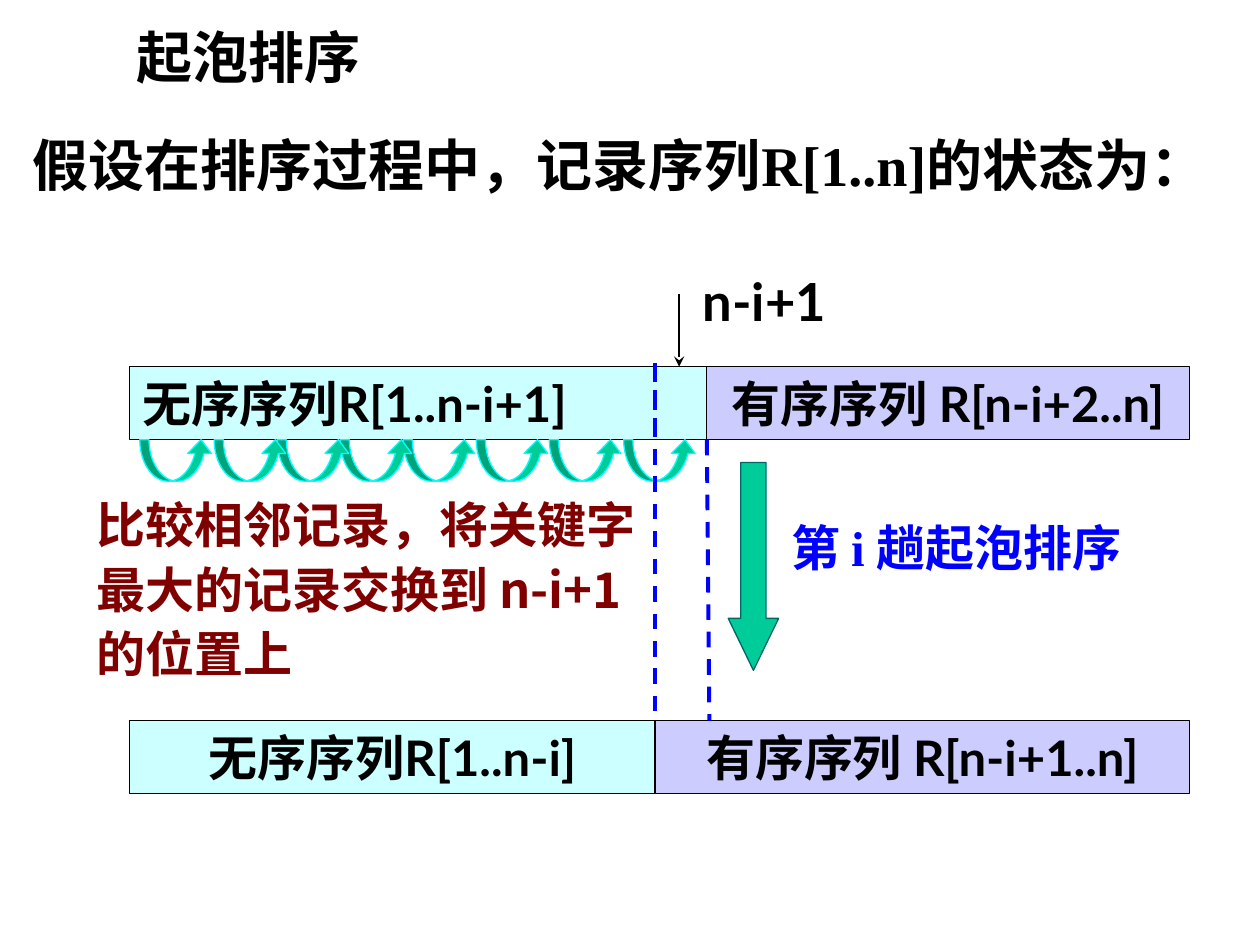
"""Builds a slide showing one pass of bubble sort."""
from dataclasses import dataclass

from lxml.etree import SubElement
from pptx import Presentation
from pptx.dml.color import RGBColor
from pptx.enum.dml import MSO_LINE
from pptx.enum.shapes import MSO_CONNECTOR, MSO_SHAPE
from pptx.enum.text import MSO_ANCHOR, MSO_AUTO_SIZE, PP_ALIGN
from pptx.oxml.ns import qn
from pptx.shapes.autoshape import Shape
from pptx.slide import Slide
from pptx.util import Inches, Pt

COLORS = {
    "black": "000000",
    "unsorted": "CCFFFF",
    "sorted": "CCCCFF",
    "blue": "0000FF",
    "maroon": "800000",
    "green": "00CC99",
    "teal": "006666",
    "cyan": "00FFFF",
}
SERIF, SANS, CHINESE = "Times New Roman", "Lato", "Noto Sans CJK SC"
BAR_HEIGHT = 0.58
BEFORE_TOP, AFTER_TOP = 2.91, 5.72
BEFORE_BOTTOM = BEFORE_TOP + BAR_HEIGHT
BAR_LEFT, BAR_RIGHT = 1.03, 9.44
BEFORE_SPLIT, AFTER_SPLIT = 5.61, 5.2
SWAP_LEFTS = (1.11, 1.7, 2.2, 2.7, 3.2, 3.78, 4.36, 4.95)


@dataclass
class Style:
    size: int
    font: str
    color: str = "black"
    align: PP_ALIGN = PP_ALIGN.LEFT
    anchor: MSO_ANCHOR = MSO_ANCHOR.TOP
    spacing: float = 1.0


@dataclass
class Label:
    text: str
    left: float
    top: float
    width: float
    height: float
    style: Style


@dataclass
class Segment:
    text: str
    left: float
    right: float
    top: float
    fill: str
    align: PP_ALIGN = PP_ALIGN.CENTER


@dataclass
class Rule:
    start: tuple[float, float]
    end: tuple[float, float]
    color: str = "blue"
    width: float = 2.25
    arrow: bool = False


HEADING = Label("起泡排序", 0.98, 0.13, 2.2, 0.63, Style(32, SERIF))
LABELS = (
    Label("假设在排序过程中，记录序列R[1..n]的状态为：", 0.16, 0.99, 9.8, 0.63, Style(32, SERIF)),
    Label("第 i 趟起泡排序", 6.18, 3.99, 3.67, 0.64, Style(28, SERIF, "blue", spacing=1.15)),
    Label("n-i+1", 5.48, 2.09, 1.38, 0.6, Style(30, SANS)),
    Label("比较相邻记录，将关键字最大的记录交换到 n-i+1 的位置上", 0.67, 3.83, 4.6, 1.64,
          Style(28, CHINESE, "maroon", spacing=1.1)),
)
SEGMENTS = (
    Segment("无序序列R[1..n-i+1]", BAR_LEFT, BEFORE_SPLIT, BEFORE_TOP, "unsorted", PP_ALIGN.LEFT),
    Segment("有序序列 R[n-i+2..n]", BEFORE_SPLIT, BAR_RIGHT, BEFORE_TOP, "sorted"),
    Segment("无序序列R[1..n-i]", BAR_LEFT, AFTER_SPLIT, AFTER_TOP, "unsorted"),
    Segment("有序序列 R[n-i+1..n]", AFTER_SPLIT, BAR_RIGHT, AFTER_TOP, "sorted"),
)
RULES = (
    Rule((5.39, 2.33), (5.39, BEFORE_TOP), "black", 1.5, arrow=True),
    Rule((BEFORE_SPLIT, BEFORE_BOTTOM), (5.63, AFTER_TOP)),
    Rule((AFTER_SPLIT, BEFORE_TOP), (AFTER_SPLIT, AFTER_TOP)),
    Rule((AFTER_SPLIT, 2.88), (AFTER_SPLIT, 3.51)),
)


def rgb(name: str) -> RGBColor:
    return RGBColor.from_string(COLORS[name])


def write(box: Shape, text: str, style: Style) -> None:
    frame = box.text_frame
    frame.text = text
    frame.word_wrap = True
    frame.auto_size = MSO_AUTO_SIZE.NONE
    frame.vertical_anchor = style.anchor
    paragraph = frame.paragraphs[0]
    paragraph.alignment = style.align
    paragraph.line_spacing = style.spacing
    for span in paragraph.runs:
        span.font.size = Pt(style.size)
        span.font.bold = True
        span.font.name = style.font
        span.font.color.rgb = rgb(style.color)
        SubElement(span.font._element, qn("a:ea"), typeface=CHINESE)


def add_heading(page: Slide, label: Label) -> None:
    title = page.shapes.title
    title.left, title.top = Inches(label.left), Inches(label.top)
    title.width, title.height = Inches(label.width), Inches(label.height)
    write(title, label.text, label.style)


def add_label(page: Slide, label: Label) -> None:
    box = page.shapes.add_textbox(
        Inches(label.left), Inches(label.top), Inches(label.width), Inches(label.height))
    write(box, label.text, label.style)


def add_filled(page: Slide, kind: MSO_SHAPE, left: float, top: float, width: float,
               height: float, fill: str, line: str, adjustments: tuple[float, ...] = ()) -> Shape:
    shape = page.shapes.add_shape(kind, Inches(left), Inches(top), Inches(width), Inches(height))
    shape.shadow.inherit = False
    shape.fill.solid()
    shape.fill.fore_color.rgb = rgb(fill)
    shape.line.color.rgb = rgb(line)
    shape.line.width = Pt(0.75)
    for index, value in enumerate(adjustments):
        shape.adjustments[index] = value
    return shape


def add_segment(page: Slide, segment: Segment) -> None:
    box = add_filled(page, MSO_SHAPE.RECTANGLE, segment.left, segment.top,
                     segment.right - segment.left, BAR_HEIGHT, segment.fill, "black")
    write(box, segment.text, Style(28, SANS, align=segment.align, anchor=MSO_ANCHOR.MIDDLE))


def add_rule(page: Slide, rule: Rule) -> None:
    points = [Inches(value) for value in (*rule.start, *rule.end)]
    connector = page.shapes.add_connector(MSO_CONNECTOR.STRAIGHT, *points)
    connector.line.color.rgb = rgb(rule.color)
    connector.line.width = Pt(rule.width)
    if rule.arrow:
        SubElement(connector.line._get_or_add_ln(), qn("a:tailEnd"), type="stealth")
    else:
        connector.line.dash_style = MSO_LINE.DASH
    SubElement(connector._element.spPr, qn("a:effectLst"))


def main() -> None:
    deck = Presentation()
    deck.slide_width, deck.slide_height = Inches(10), Inches(7.5)
    page = deck.slides.add_slide(deck.slide_layouts[5])
    add_heading(page, HEADING)
    for segment in SEGMENTS:
        add_segment(page, segment)
    add_filled(page, MSO_SHAPE.DOWN_ARROW, 5.78, 3.67, 0.4, 1.65, "green", "teal", (0.5, 1.03))
    for label in LABELS:
        add_label(page, label)
    for left in reversed(SWAP_LEFTS):
        add_filled(page, MSO_SHAPE.CURVED_UP_ARROW, left, BEFORE_BOTTOM, 0.58, 0.33,
                   "green", "cyan", (0.22, 0.57, 0.33))
    for rule in RULES:
        add_rule(page, rule)
    deck.save("out.pptx")


if __name__ == "__main__":
    main()
